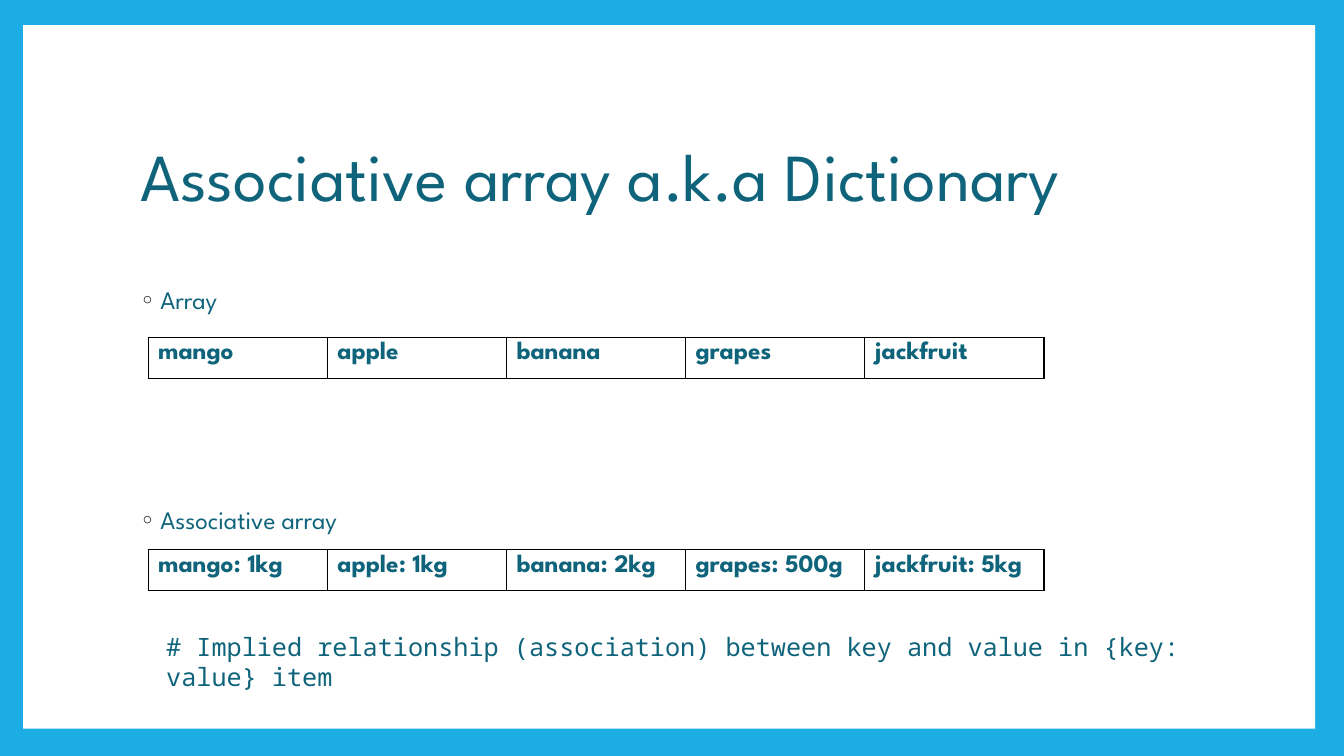
from lxml import etree
from pptx import Presentation
from pptx.dml.color import RGBColor
from pptx.enum.shapes import MSO_SHAPE
from pptx.enum.text import MSO_ANCHOR, MSO_AUTO_SIZE, PP_ALIGN
from pptx.oxml.ns import qn
from pptx.util import Pt

RECTANGLE = MSO_SHAPE.RECTANGLE
MIDDLE, TOP = MSO_ANCHOR.MIDDLE, MSO_ANCHOR.TOP
NO_FIT, LEFT = MSO_AUTO_SIZE.NONE, PP_ALIGN.LEFT

BLUE, WHITE, TEAL, DARK, BLACK = "1CADE4", "FFFFFF", "0F647B", "262626", "000000"
SANS, MONO = "League Spartan", "Noto Sans Mono"

PAGE_BOX = (0, 0, 960, 540)
PANEL_BOX = (16.5, 18, 923, 502.5)
TITLE_BOX = (92.9, 68.4, 771, 120.2)
BODY_BOX = (92.9, 201.6, 771, 268.6)
NOTE_BOX = (111.6, 447.1, 802, 29)
TABLE_LEFT, TABLE_WIDTH, ROW_HEIGHT = 105.8, 640, 29.5

FRUITS = {"mango": "1kg", "apple": "1kg", "banana": "2kg",
          "grapes": "500g", "jackfruit": "5kg"}
NOTE = ("# Implied relationship (association) between key and value "
        "in {key: value} item")


def color(value):
    """Turn a hex string into a colour."""
    return RGBColor.from_string(value)


def set_all(target, values):
    """Set each attribute of target from a dict."""
    for name, value in values.items():
        setattr(target, name, value)


def place(shape, box):
    """Move and size a shape to a box in points."""
    names = ("left", "top", "width", "height")
    set_all(shape, {name: Pt(length) for name, length in zip(names, box)})


def write(para, text, size=18, font=SANS, bold=False, **spacing):
    """Write one formatted span into a paragraph."""
    set_all(para, {"alignment": LEFT, **spacing})
    span = para.add_run()
    span.text = text
    set_all(span.font, {"size": Pt(size), "name": font, "bold": bold})
    span.font.color.rgb = color(TEAL)


def add_child(parent, tag, **attributes):
    """Append a drawing element to a parent element."""
    return etree.SubElement(parent, qn(tag), attributes)


def add_panel(page, box, fill):
    """Draw a plain rectangle behind the title."""
    panel = page.shapes.add_shape(RECTANGLE, *map(Pt, box))
    panel.shadow.inherit = False
    panel.fill.solid()
    panel.fill.fore_color.rgb = color(fill)
    panel.line.fill.background()
    page.shapes.title.element.addprevious(panel.element)


def fill_title(title, box):
    """Place and write the title."""
    place(title, box)
    set_all(title.text_frame, {"vertical_anchor": MIDDLE, "auto_size": NO_FIT,
                               "word_wrap": True})
    write(title.text_frame.paragraphs[0], "Associative array a.k.a Dictionary",
          size=48, line_spacing=0.9)


def fill_headings(body, box):
    """Write the bulleted headings, each above its table."""
    place(body, box)
    frame = body.text_frame
    set_all(frame, {"vertical_anchor": TOP, "auto_size": NO_FIT, "word_wrap": True})
    headings = (("Array", 9), ("Associative array", 138))
    for index, (text, gap) in enumerate(headings):
        para = frame.add_paragraph() if index else frame.paragraphs[0]
        write(para, text, line_spacing=0.9, space_before=Pt(gap), space_after=Pt(0))
        properties = para._p.get_or_add_pPr()
        properties.set("marL", str(Pt(14.4)))
        properties.set("indent", str(Pt(-14.4)))
        add_child(add_child(properties, "a:buClr"), "a:srgbClr", val=DARK)
        add_child(properties, "a:buFont", typeface="Garamond")
        add_child(properties, "a:buChar", char="◦")


def add_borders(cell):
    """Give a cell thin black borders and no fill."""
    cell.fill.background()
    properties = cell._tc.get_or_add_tcPr()
    for index, side in enumerate("LRTB"):
        line = add_child(properties, f"a:ln{side}", w=str(Pt(1)))
        add_child(add_child(line, "a:solidFill"), "a:srgbClr", val=BLACK)
        properties.insert(index, line)


def add_array(page, items, box):
    """Draw a one-row table with equal columns."""
    frame = page.shapes.add_table(1, len(items), *map(Pt, box))
    table = frame.table
    set_all(table, {"first_row": False, "horz_banding": False})
    for cell, text in zip(table.rows[0].cells, items):
        add_borders(cell)
        write(cell.text_frame.paragraphs[0], text, bold=True)


def add_note(page, box):
    """Add the code-style note."""
    frame = page.shapes.add_textbox(*map(Pt, box)).text_frame
    frame.word_wrap = True
    write(frame.paragraphs[0], NOTE, font=MONO)


def build_slide(page):
    """Put all regions on the slide."""
    add_panel(page, PAGE_BOX, BLUE)
    add_panel(page, PANEL_BOX, WHITE)
    fill_title(page.shapes.title, TITLE_BOX)
    fill_headings(page.placeholders[1], BODY_BOX)
    pairs = [f"{fruit}: {weight}" for fruit, weight in FRUITS.items()]
    for items, top in ((list(FRUITS), 240.8), (pairs, 392.4)):
        add_array(page, items, (TABLE_LEFT, top, TABLE_WIDTH, ROW_HEIGHT))
    add_note(page, NOTE_BOX)


def main():
    """Build and save the deck."""
    deck = Presentation()
    set_all(deck, {"slide_width": Pt(960), "slide_height": Pt(540)})
    build_slide(deck.slides.add_slide(deck.slide_layouts[1]))
    deck.save("out.pptx")


main()
